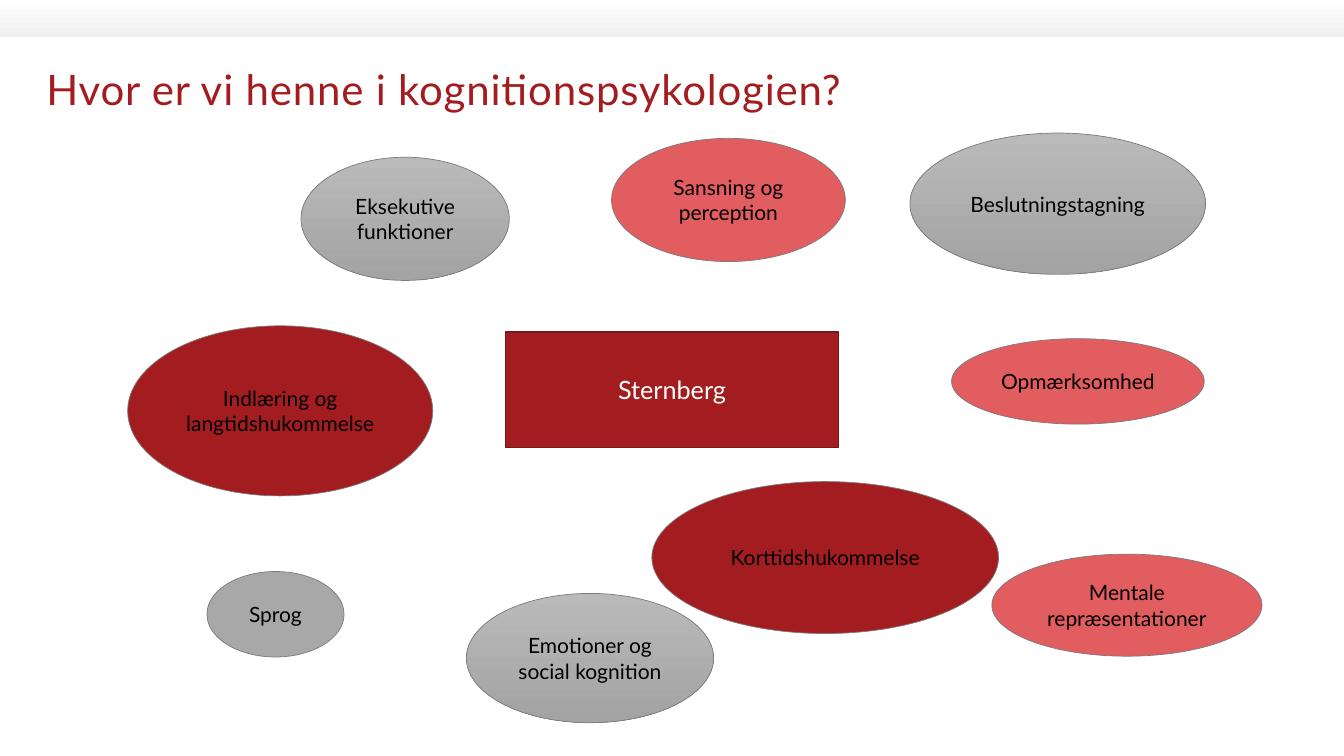
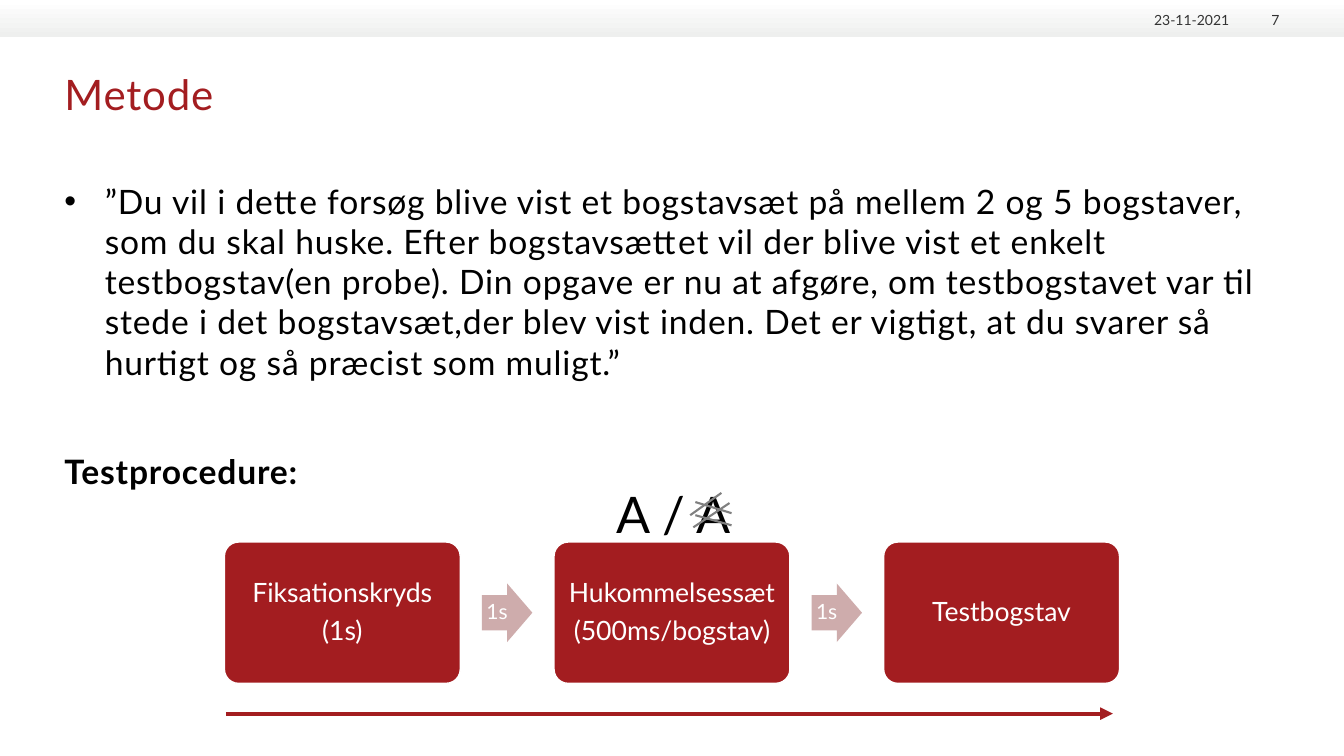
from dataclasses import dataclass

from lxml import etree
from pptx import Presentation
from pptx.dml.color import RGBColor
from pptx.enum.shapes import MSO_CONNECTOR as Connector, MSO_SHAPE as Shape
from pptx.enum.text import MSO_ANCHOR as Anchor, PP_ALIGN as Align
from pptx.oxml.ns import qn
from pptx.util import Inches, Pt

FONT = "Lato"
RED, DARK_RED, CORAL, PALE_RED = "A31D20", "791518", "E25D60", "CEACAC"
WHITE, BLACK, INK = "FFFFFF", "000000", "333333"
GREY, OUTLINE, STRIKE = "A8A8A8", "7B7B7B", "808080"
SILVER = ("BABABA", "A3A3A3")
BAND = ("FFFFFF", "EEEFEE")


@dataclass
class Box:
    left: float
    top: float
    width: float
    height: float

    def point(self, x, y):
        """Inches of a point given in percent of this box."""
        return self.left + self.width * x / 100, self.top + self.height * y / 100

    def inner(self, x, y, width, height):
        """Inner box given in percent of this box."""
        return Box(*self.point(x, y), self.width * width / 100, self.height * height / 100)

    def emu(self):
        return [Inches(n) for n in (self.left, self.top, self.width, self.height)]


PAGE = Box(0, 0, 13.33, 7.5)


def color(hex_string):
    return RGBColor.from_string(hex_string)


def paint(fill, value):
    """Fill with one colour, or with a pair from top to bottom."""
    if isinstance(value, str):
        fill.solid()
        fill.fore_color.rgb = color(value)
        return
    fill.gradient()
    fill.gradient_angle = 270
    for stop, shade in zip(fill.gradient_stops, value):
        stop.color.rgb = color(shade)


def add_bullet(paragraph, indent=0.4):
    properties = paragraph._p.get_or_add_pPr()
    properties.set("marL", str(Inches(indent)))
    properties.set("indent", str(-Inches(indent)))
    etree.SubElement(properties, qn("a:buFont"), typeface="Arial")
    etree.SubElement(properties, qn("a:buChar"), char="•")


def write(shape, *lines, size=15, ink=BLACK, bold=(), bullets=(), align=Align.LEFT,
          anchor=Anchor.TOP, insets=(0, 0, 0, 0), tracking=0, leading=None, gap=0, wrap=True):
    """Write one paragraph per line; bold and bullets hold line numbers."""
    frame = shape.text_frame
    frame.word_wrap = wrap
    frame.vertical_anchor = anchor
    (frame.margin_left, frame.margin_top,
     frame.margin_right, frame.margin_bottom) = [Inches(inset) for inset in insets]
    for number, line in enumerate(lines):
        paragraph = frame.add_paragraph() if number else frame.paragraphs[0]
        if number in bullets:
            add_bullet(paragraph)
        paragraph.alignment = align
        if leading:
            paragraph.line_spacing = leading
        if number:
            paragraph.space_before = Pt(gap)
        run = paragraph.add_run()
        run.text = line
        run.font.name, run.font.size = FONT, Pt(size)
        run.font.bold = number in bold
        run.font.color.rgb = color(ink)
        if tracking:
            run._r.get_or_add_rPr().set("spc", str(round(tracking * 100)))


def add_text(slide, box, *lines, **style):
    write(slide.shapes.add_textbox(*box.emu()), *lines, **style)


def add_figure(slide, kind, box, fill, line=None, line_width=1, adjustments=()):
    shape = slide.shapes.add_shape(kind, *box.emu())
    shape.shadow.inherit = False
    for number, value in enumerate(adjustments):
        shape.adjustments[number] = value
    paint(shape.fill, fill)
    if line:
        shape.line.color.rgb = color(line)
        shape.line.width = Pt(line_width)
    else:
        shape.line.fill.background()
    return shape


def add_line(slide, start, end, ink, width, arrow=False):
    points = [Inches(n) for n in (*start, *end)]
    connector = slide.shapes.add_connector(Connector.STRAIGHT, *points)
    connector.line.color.rgb = color(ink)
    connector.line.width = Pt(width)
    if arrow:
        etree.SubElement(connector.line._get_or_add_ln(), qn("a:tailEnd"), type="triangle")
    etree.SubElement(connector._element.spPr, qn("a:effectLst"))


def new_slide(presentation, title, title_box):
    """Blank slide with the shared top band and title style."""
    slide = presentation.slides.add_slide(presentation.slide_layouts[6])
    add_figure(slide, Shape.RECTANGLE, PAGE.inner(0, 0, 100, 4.9), BAND)
    add_text(slide, title_box, title, size=30, ink=RED, tracking=0.6)
    return slide


def add_topic(slide, kind, box, text, fill, line=OUTLINE, line_width=0.5, size=15, ink=BLACK):
    shape = add_figure(slide, kind, box, fill, line, line_width)
    write(shape, text, size=size, ink=ink, align=Align.CENTER, anchor=Anchor.MIDDLE,
          insets=(0.1, 0.05, 0.1, 0.05))


def add_overview(slide, area):
    topics = [
        ("Eksekutive funktioner", SILVER, (22.4, 20.8, 15.5, 16.3)),
        ("Sansning og perception", CORAL, (45.5, 18.3, 17.4, 16.3)),
        ("Korttidshukommelse", RED, (48.5, 63.7, 25.8, 20.1)),
        ("Emotioner og social kognition", SILVER, (34.7, 78.5, 18.4, 17.1)),
        ("Opmærksomhed", CORAL, (70.8, 44.8, 18.8, 11.3)),
        ("Sprog", GREY, (15.4, 75.6, 10.2, 11.3)),
        ("Beslutningstagning", SILVER, (67.7, 17.6, 22, 18.7)),
        ("Indlæring og langtidshukommelse", RED, (9.5, 43.1, 22.7, 22.5)),
        ("Mentale repræsentationer", CORAL, (73.8, 73.3, 20.1, 13.5)),
    ]
    for text, fill, place in topics:
        add_topic(slide, Shape.OVAL, area.inner(*place), text, fill)
    add_topic(slide, Shape.RECTANGLE, area.inner(37.6, 43.9, 24.8, 15.3), "Sternberg", RED,
              line=DARK_RED, line_width=1, size=18, ink=WHITE)


def add_date_and_number(slide, area, date, number):
    for text, left, width in ((date, 0, 64), (number, 70, 30)):
        add_text(slide, area.inner(left, 0, width, 100), text, size=10, ink=INK,
                 align=Align.RIGHT, anchor=Anchor.BOTTOM)


def add_procedure(slide, area, steps, pause):
    """Equal steps across the area, with an arrow centred in each gap."""
    step_width, arrow_width, arrow_height = 26.35, 5.63, 41.4
    gap = (100 - len(steps) * step_width) / (len(steps) - 1)
    centred = dict(ink=WHITE, align=Align.CENTER, anchor=Anchor.MIDDLE, leading=0.9)
    for number, lines in enumerate(steps):
        left = number * (step_width + gap)
        step = add_figure(slide, Shape.ROUNDED_RECTANGLE, area.inner(left, 0, step_width, 100),
                          RED, WHITE, adjustments=(0.1,))
        write(step, *lines, size=19, gap=6.6, insets=(0.08, 0.08, 0.08, 0.08), **centred)
        if number:
            arrow_left = left - (gap + arrow_width) / 2
            arrow_box = area.inner(arrow_left, (100 - arrow_height) / 2, arrow_width, arrow_height)
            arrow = add_figure(slide, Shape.RIGHT_ARROW, arrow_box, PALE_RED,
                               adjustments=(0.6, 0.5))
            write(arrow, pause, insets=(0, 0, 0.05, 0), wrap=False, **centred)


def add_struck_letter(slide, area):
    add_text(slide, area, "A / A", size=36, insets=(0.1, 0.05, 0.1, 0.05))
    strokes = [
        ((56.8, 52.1), (80, 66.2)),
        ((53.5, 52.1), (73.5, 21.1)),
        ((55.5, 69), (78.7, 35.2)),
        ((56.8, 33.8), (80, 49.3)),
    ]
    for start, end in strokes:
        add_line(slide, area.point(*start), area.point(*end), STRIKE, 1.5)


def build_overview_slide(presentation):
    slide = new_slide(presentation, "Hvor er vi henne i kognitionspsykologien?",
                      PAGE.inner(3.45, 8.4, 65.3, 6.3))
    add_overview(slide, PAGE)


def build_method_slide(presentation):
    slide = new_slide(presentation, "Metode", PAGE.inner(4.8, 9.07, 90.3, 12.7))
    instruction = (
        "”Du vil i dette forsøg blive vist et bogstavsæt på mellem 2 og 5 bogstaver, som du "
        "skal huske. Efter bogstavsættet vil der blive vist et enkelt testbogstav(en probe). "
        "Din opgave er nu at afgøre, om testbogstavet var til stede i det bogstavsæt,der blev "
        "vist inden. Det er vigtigt, at du svarer så hurtigt og så præcist som muligt.”"
    )
    add_text(slide, PAGE.inner(4.8, 23.87, 90.3, 29.9), instruction, "Testprocedure:",
             size=24, tracking=0.6, bullets=(0,), bold=(1,), gap=49)
    add_date_and_number(slide, PAGE.inner(84.8, 1.2, 10.4, 2.5), "23-11-2021", "7")
    steps = [
        ("Fiksationskryds", "(1s)"),
        ("Hukommelsessæt", "(500ms/bogstav)"),
        ("Testbogstav",),
    ]
    add_procedure(slide, PAGE.inner(16.7, 71.7, 66.6, 18.7), steps, "1s")
    add_line(slide, PAGE.point(16.8, 94.4), PAGE.point(82.8, 94.4), RED, 3, arrow=True)
    add_struck_letter(slide, PAGE.inner(45.15, 63.2, 11.6, 9.5))


def main():
    presentation = Presentation()
    presentation.slide_width, presentation.slide_height = Inches(PAGE.width), Inches(PAGE.height)
    build_overview_slide(presentation)
    build_method_slide(presentation)
    presentation.save("out.pptx")


if __name__ == "__main__":
    main()
